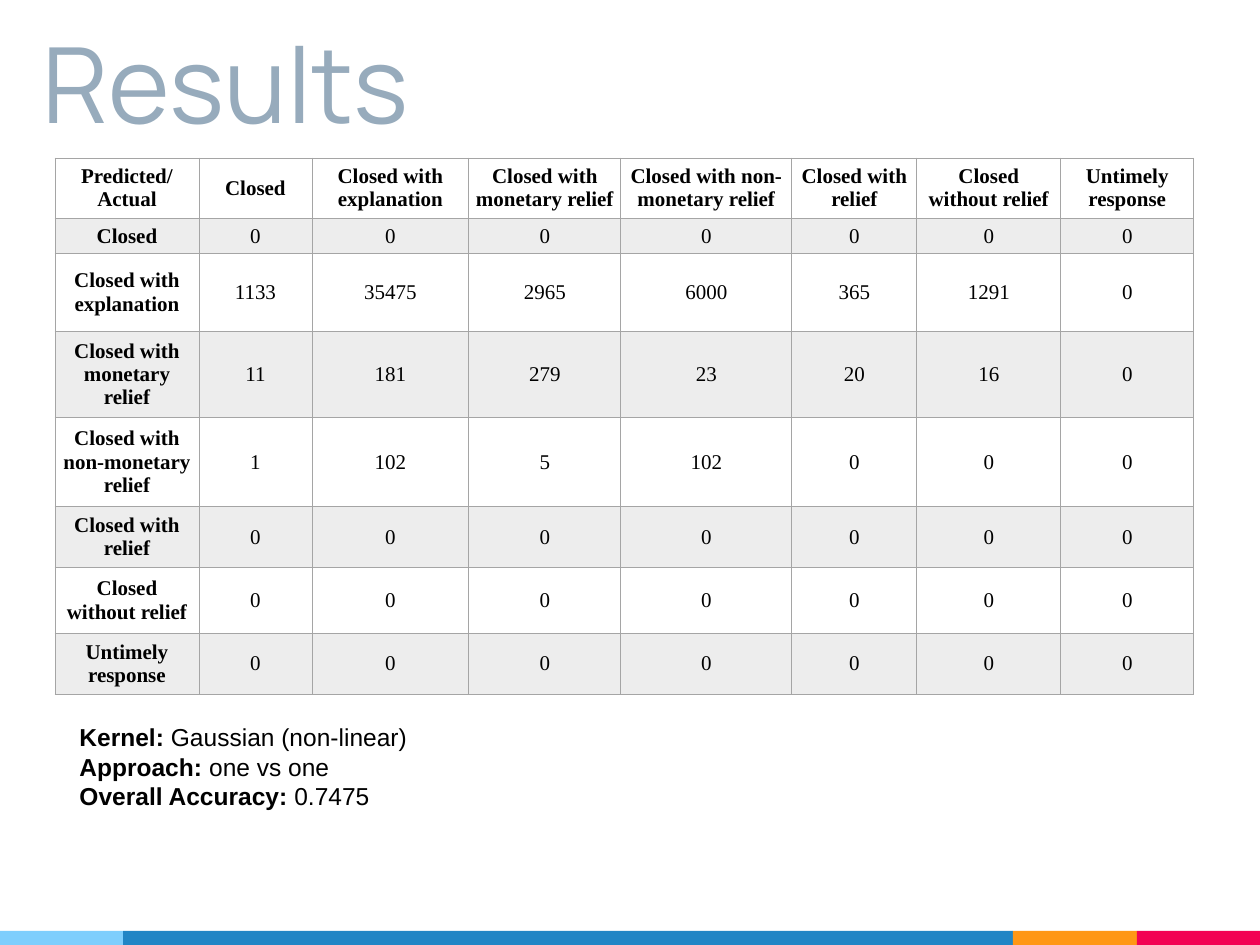
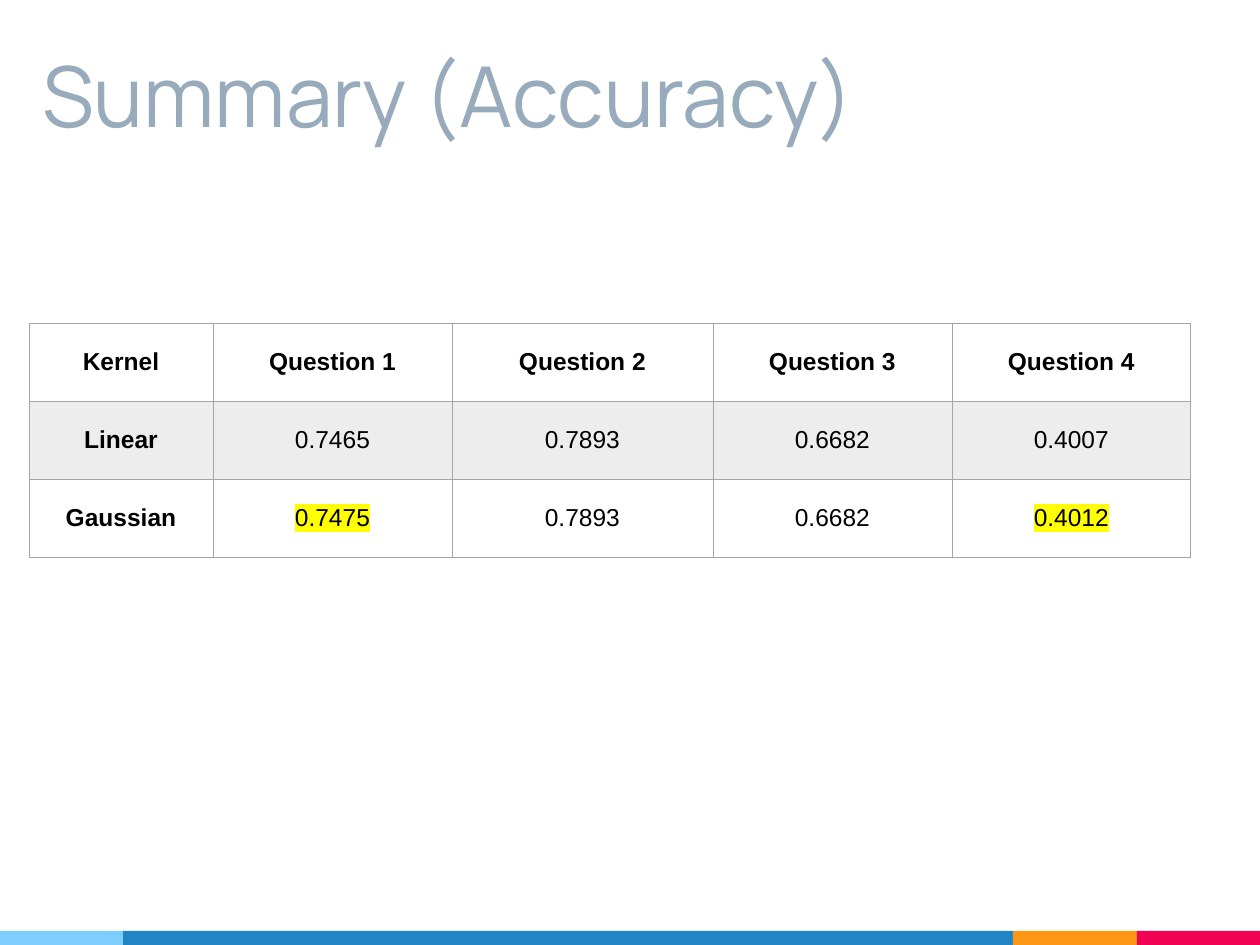
import dataclasses
import typing

import lxml.etree
import pptx
import pptx.dml.color
import pptx.enum.shapes
import pptx.enum.text
import pptx.oxml.ns
import pptx.slide
import pptx.util

EMU_PER_PX = 914400 / 126
SLIDE_WIDTH, SLIDE_HEIGHT = 1260, 945
FOOTER_HEIGHT = 14
TITLE_BOTTOM = 157

COLORS = {
    "title": "97ABBC",
    "text": "000000",
    "row": "FFFFFF",
    "shaded_row": "EDEDED",
    "grid": "A5A5A5",
    "highlight": "FFFF00",
    "sky": "7ECEFD",
    "blue": "2185C5",
    "orange": "FF9715",
    "red": "F20253",
}
FOOTER_BANDS = (("sky", 123), ("blue", 890), ("orange", 124), ("red", 123))

OUTCOMES = (
    "Closed",
    "Closed with explanation",
    "Closed with monetary relief",
    "Closed with non-monetary relief",
    "Closed with relief",
    "Closed without relief",
    "Untimely response",
)
CONFUSION_COUNTS = (
    (0, 0, 0, 0, 0, 0, 0),
    (1133, 35475, 2965, 6000, 365, 1291, 0),
    (11, 181, 279, 23, 20, 16, 0),
    (1, 102, 5, 102, 0, 0, 0),
    (0, 0, 0, 0, 0, 0, 0),
    (0, 0, 0, 0, 0, 0, 0),
    (0, 0, 0, 0, 0, 0, 0),
)
MODEL_FACTS = (
    ("Kernel: ", "Gaussian (non-linear)"),
    ("Approach:", " one vs one"),
    ("Overall Accuracy: ", "0.7475"),
)


@dataclasses.dataclass(frozen=True)
class TextStyle:
    font: str
    size: int
    color: str = "text"


@dataclasses.dataclass(frozen=True)
class TableSpec:
    left: int
    top: int
    columns: tuple[int, ...]
    rows: tuple[int, ...]
    cells: tuple[tuple[str, ...], ...]
    style: TextStyle
    margins: tuple[int, int]
    header_rule: float = 0.5
    highlighted: frozenset[tuple[int, int]] = frozenset()


BODY = TextStyle("Arial", 14)

CONFUSION_TABLE = TableSpec(
    left=55,
    top=158,
    columns=(144, 113, 157, 152, 171, 125, 144, 133),
    rows=(60, 35, 78, 86, 89, 61, 66, 61),
    cells=(
        ("Predicted/Actual", *OUTCOMES),
        *(
            (outcome, *map(str, counts))
            for outcome, counts in zip(OUTCOMES, CONFUSION_COUNTS)
        ),
    ),
    style=TextStyle("Times New Roman", 12),
    margins=(5, 5),
    header_rule=1,
)
ACCURACY_TABLE = TableSpec(
    left=29,
    top=323,
    columns=(184, 239, 261, 239, 239),
    rows=(78,) * 3,
    cells=(
        ("Kernel", *(f"Question {number}" for number in range(1, 5))),
        ("Linear", "0.7465", "0.7893", "0.6682", "0.4007"),
        ("Gaussian", "0.7475", "0.7893", "0.6682", "0.4012"),
    ),
    style=BODY,
    margins=(13, 6),
    highlighted=frozenset({(2, 1), (2, 4)}),
)


def px(length: int) -> pptx.util.Emu:
    return pptx.util.Emu(round(length * EMU_PER_PX))


def rgb(name: str) -> pptx.dml.color.RGBColor:
    return pptx.dml.color.RGBColor.from_string(COLORS[name])


def add_color(parent: typing.Any, tag: str, name: str) -> None:
    element = lxml.etree.SubElement(parent, pptx.oxml.ns.qn(tag))
    lxml.etree.SubElement(element, pptx.oxml.ns.qn("a:srgbClr"), val=COLORS[name])


def add_run(
    paragraph: typing.Any,
    text: str,
    style: TextStyle,
    bold: bool = False,
    highlighted: bool = False,
) -> None:
    run = paragraph.add_run()
    run.text = text
    run.font.size = pptx.util.Pt(style.size)
    run.font.bold = bold
    run.font.color.rgb = rgb(style.color)
    if highlighted:
        add_color(run.font._element, "a:highlight", "highlight")
    run.font.name = style.font


def add_text_frame(
    slide: pptx.slide.Slide, left: int, top: int, width: int, height: int
) -> typing.Any:
    shape = slide.shapes.add_textbox(px(left), px(top), px(width), px(height))
    shape.text_frame.word_wrap = True
    return shape.text_frame


def add_title(slide: pptx.slide.Slide, text: str, size: int, width: int) -> None:
    frame = add_text_frame(slide, 29, 0, width, TITLE_BOTTOM)
    frame.vertical_anchor = pptx.enum.text.MSO_ANCHOR.BOTTOM
    frame.margin_top = frame.margin_bottom = px(13)
    frame.margin_left = frame.margin_right = px(13)
    add_run(frame.paragraphs[0], text, TextStyle("Manrope", size, "title"))


def add_footer(slide: pptx.slide.Slide) -> None:
    left = 0
    for color, width in FOOTER_BANDS:
        shape = slide.shapes.add_shape(
            pptx.enum.shapes.MSO_SHAPE.RECTANGLE,
            px(left),
            px(SLIDE_HEIGHT - FOOTER_HEIGHT),
            px(width),
            px(FOOTER_HEIGHT),
        )
        shape.shadow.inherit = False
        shape.fill.solid()
        shape.fill.fore_color.rgb = rgb(color)
        shape.line.fill.background()
        left += width


def add_borders(cell: typing.Any, top: float, bottom: float) -> None:
    properties = cell._tc.get_or_add_tcPr()
    widths = {"a:lnL": 0.5, "a:lnR": 0.5, "a:lnT": top, "a:lnB": bottom}
    for tag, width in widths.items():
        line = lxml.etree.SubElement(
            properties, pptx.oxml.ns.qn(tag), w=str(int(pptx.util.Pt(width)))
        )
        add_color(line, "a:solidFill", "grid")


def add_table(slide: pptx.slide.Slide, spec: TableSpec) -> None:
    table = slide.shapes.add_table(
        len(spec.rows),
        len(spec.columns),
        px(spec.left),
        px(spec.top),
        px(sum(spec.columns)),
        px(sum(spec.rows)),
    ).table
    for column, width in zip(table.columns, spec.columns):
        column.width = px(width)
    for row, height in zip(table.rows, spec.rows):
        row.height = px(height)
    for row_index, texts in enumerate(spec.cells):
        for column_index, text in enumerate(texts):
            cell = table.cell(row_index, column_index)
            add_borders(
                cell,
                top=spec.header_rule if row_index == 1 else 0.5,
                bottom=spec.header_rule if row_index == 0 else 0.5,
            )
            cell.fill.solid()
            cell.fill.fore_color.rgb = rgb("shaded_row" if row_index % 2 else "row")
            cell.vertical_anchor = pptx.enum.text.MSO_ANCHOR.MIDDLE
            cell.margin_left = cell.margin_right = px(spec.margins[0])
            cell.margin_top = cell.margin_bottom = px(spec.margins[1])
            paragraph = cell.text_frame.paragraphs[0]
            paragraph.alignment = pptx.enum.text.PP_ALIGN.CENTER
            add_run(
                paragraph,
                text,
                spec.style,
                bold=row_index == 0 or column_index == 0,
                highlighted=(row_index, column_index) in spec.highlighted,
            )


def add_model_facts(slide: pptx.slide.Slide) -> None:
    frame = add_text_frame(slide, 67, 716, 399, 102)
    for index, (label, value) in enumerate(MODEL_FACTS):
        paragraph = frame.add_paragraph() if index else frame.paragraphs[0]
        add_run(paragraph, label, BODY, bold=True)
        add_run(paragraph, value, BODY)


def add_slide(
    presentation: typing.Any, title: str, title_size: int, title_width: int
) -> pptx.slide.Slide:
    slide = presentation.slides.add_slide(presentation.slide_layouts[6])
    add_footer(slide)
    add_title(slide, title, title_size, title_width)
    return slide


def main() -> None:
    presentation = pptx.Presentation()
    presentation.slide_width = px(SLIDE_WIDTH)
    presentation.slide_height = px(SLIDE_HEIGHT)

    results = add_slide(presentation, "Results", 60, 1051)
    add_model_facts(results)
    add_table(results, CONFUSION_TABLE)

    summary = add_slide(presentation, "Summary (Accuracy)", 48, 1163)
    add_table(summary, ACCURACY_TABLE)

    presentation.save("out.pptx")


if __name__ == "__main__":
    main()
